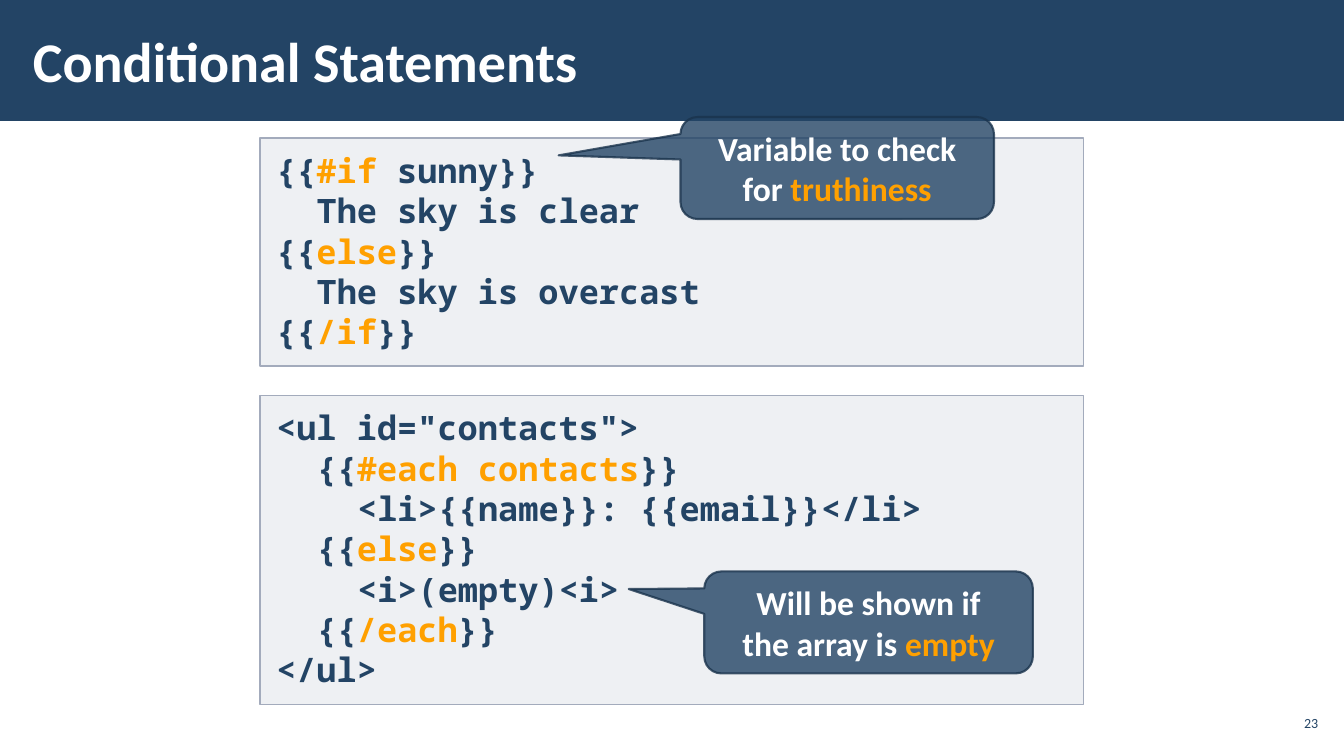
import pptx
import pptx.util
import pptx.dml.color
import pptx.enum.shapes
import pptx.enum.text
import pptx.oxml
import pptx.oxml.ns

Cm, Pt = pptx.util.Cm, pptx.util.Pt
RGBColor = pptx.dml.color.RGBColor
MSO_SHAPE = pptx.enum.shapes.MSO_SHAPE
PP_ALIGN = pptx.enum.text.PP_ALIGN
MSO_ANCHOR = pptx.enum.text.MSO_ANCHOR
MSO_AUTO_SIZE = pptx.enum.text.MSO_AUTO_SIZE

NAVY = RGBColor(0x23, 0x44, 0x65)
DARK = RGBColor(0x1A, 0x33, 0x4C)
ORANGE = RGBColor(0xFF, 0xA0, 0x00)
WHITE = RGBColor(0xFF, 0xFF, 0xFF)
GREY = RGBColor(0xAD, 0xB4, 0xC3)
EDGE = RGBColor(0xA3, 0xAB, 0xBC)

MARK = "*"
INDENT = 1.02
SLIDE_W, SLIDE_H, BAR_H = 33.87, 19.05, 3.05
PANEL_X, PANEL_W = 6.55, 20.75
CALLOUT_H = 2.57

TITLE = "Conditional Statements"
PAGE = "23"
EXAMPLES = [
    {
        "top": 3.48, "height": 5.74,
        "code": [(0, "{{*#if* sunny}}"),
                 (1, "The sky is clear"),
                 (0, "{{*else*}}"),
                 (1, "The sky is overcast"),
                 (0, "{{*/if*}}")],
        "note": [(0, "Variable to check"), (0, "for *truthiness*")],
        "note_box": (17.15, 2.95, 7.9, CALLOUT_H),
        "tip": (-0.889, -0.124, 0.167),
    },
    {
        "top": 9.96, "height": 7.8,
        "code": [(0, '<ul id="contacts">'),
                 (1, "{{*#each contacts*}}"),
                 (2, "<li>{{name}}: {{email}}</li>"),
                 (1, "{{*else*}}"),
                 (2, "<i>(empty)<i>"),
                 (1, "{{*/each*}}"),
                 (0, "</ul>")],
        "note": [(0, "Will be shown if"), (0, "the array is *empty*")],
        "note_box": (17.75, 14.4, 8.28, CALLOUT_H),
        "tip": (-0.73, -0.327, 0.167),
    },
]

TITLE_FONT = {"name": "Calibri", "size": Pt(40), "bold": True}
PAGE_FONT = {"name": "Calibri", "size": Pt(10), "bold": False}
CODE_FONT = {"name": "Noto Sans Mono", "size": Pt(24), "bold": True}
NOTE_FONT = {"name": "Calibri", "size": Pt(24), "bold": True}


def set_alpha(fill_parent, percent):
    for clr in fill_parent.iterfind(pptx.oxml.ns.qn("a:solidFill") + "/*"):
        alpha = pptx.oxml.parse_xml(
            "<a:alpha %s val='%d'/>" % (pptx.oxml.ns.nsdecls("a"), percent * 1000))
        clr.append(alpha)


def add_box(s, kind, box, fill, line=None, width=1):
    sp = s.shapes.add_shape(kind, *map(Cm, box))
    sp.shadow.inherit = False
    sp.fill.solid()
    sp.fill.fore_color.rgb = fill
    if line is None:
        sp.line.fill.background()
    else:
        sp.line.color.rgb = line
        sp.line.width = Pt(width)
    return sp


def write(sp, lines, font, color, align, anchor, margins=(0.25, 0.13)):
    tf = sp.text_frame
    side, edge = map(Cm, margins)
    frame = {"word_wrap": True, "vertical_anchor": anchor,
             "margin_left": side, "margin_right": side,
             "margin_top": edge, "margin_bottom": edge}
    for key, value in frame.items():
        setattr(tf, key, value)
    for i, (level, text) in enumerate(lines):
        p = tf.add_paragraph() if i else tf.paragraphs[0]
        p.alignment = align
        if level:
            p._p.get_or_add_pPr().set("marL", str(Cm(level * INDENT)))
        for j, part in enumerate(text.split(MARK)):
            if part:
                r = p.add_run()
                r.text = part
                for key, value in font.items():
                    setattr(r.font, key, value)
                r.font.color.rgb = ORANGE if j % 2 else color


def add_example(s, ex):
    sp = add_box(s, MSO_SHAPE.RECTANGLE,
                 (PANEL_X, ex["top"], PANEL_W, ex["height"]), GREY, EDGE)
    set_alpha(sp._element.spPr, 20)
    write(sp, ex["code"], CODE_FONT, NAVY, PP_ALIGN.LEFT, MSO_ANCHOR.TOP, (0.41, 0.3))
    sp.text_frame.auto_size = MSO_AUTO_SIZE.SHAPE_TO_FIT_TEXT

    sp = add_box(s, MSO_SHAPE.ROUNDED_RECTANGULAR_CALLOUT, ex["note_box"], NAVY, DARK, 1.5)
    for i, value in enumerate(ex["tip"]):
        sp.adjustments[i] = value
    set_alpha(sp._element.spPr, 80)
    set_alpha(sp._element.spPr.ln, 80)
    write(sp, ex["note"], NOTE_FONT, WHITE, PP_ALIGN.CENTER, MSO_ANCHOR.MIDDLE)


def main():
    prs = pptx.Presentation()
    prs.slide_width, prs.slide_height = Cm(SLIDE_W), Cm(SLIDE_H)
    s = prs.slides.add_slide(prs.slide_layouts[6])

    add_box(s, MSO_SHAPE.RECTANGLE, (0, 0, SLIDE_W, BAR_H), NAVY)
    sp = s.shapes.add_textbox(Cm(0.53), Cm(0.28), Cm(26.39), Cm(2.46))
    write(sp, [(0, TITLE)], TITLE_FONT, WHITE, PP_ALIGN.LEFT, MSO_ANCHOR.MIDDLE, (0.3, 0.1))
    sp = s.shapes.add_textbox(Cm(32.13), Cm(17.78), Cm(1.19), Cm(0.86))
    write(sp, [(0, PAGE)], PAGE_FONT, NAVY, PP_ALIGN.RIGHT, MSO_ANCHOR.MIDDLE, (0.1, 0.1))

    for ex in EXAMPLES:
        add_example(s, ex)
    prs.save("out.pptx")


if __name__ == "__main__":
    main()
